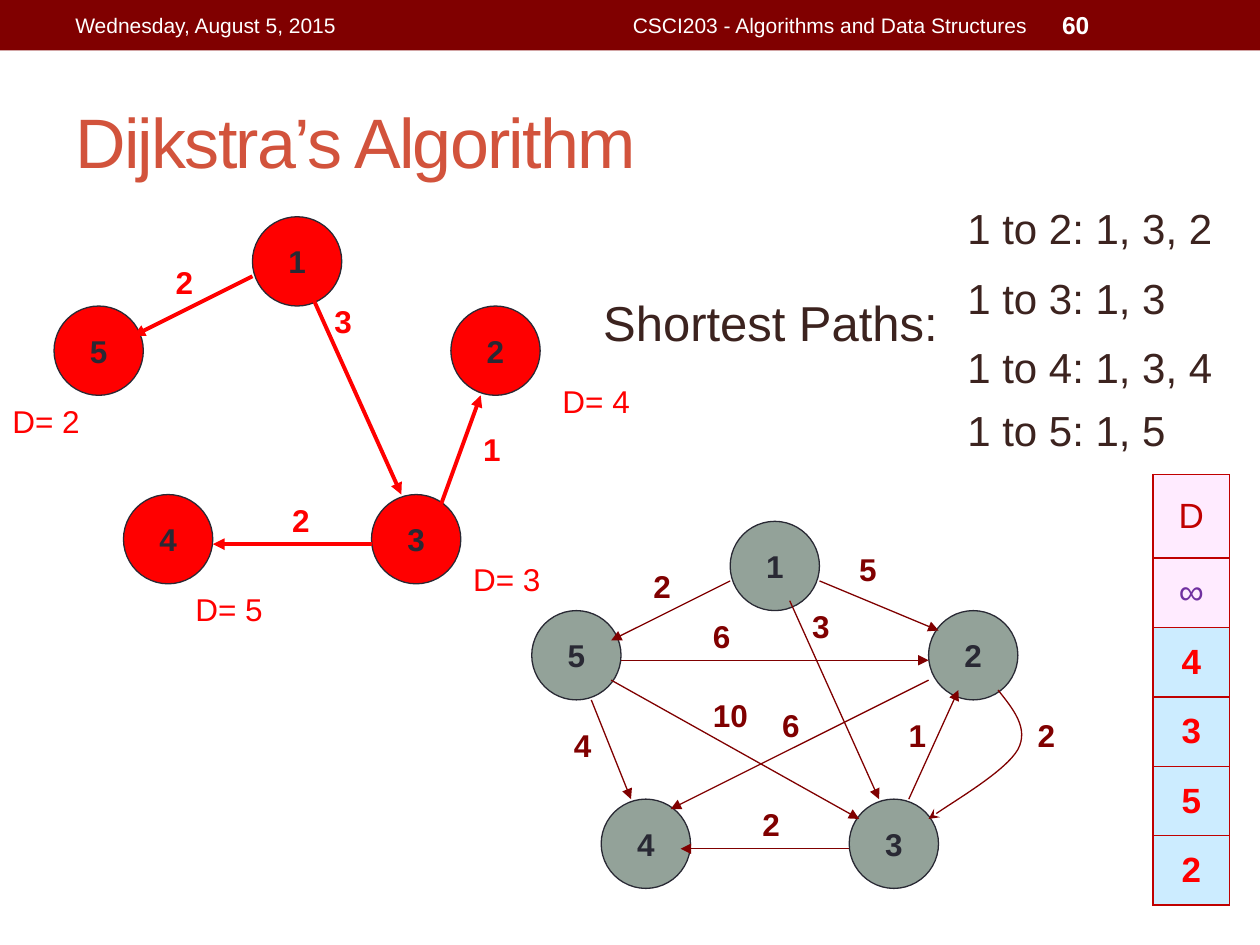
from lxml import etree
from pptx import Presentation
from pptx.dml.color import RGBColor
from pptx.enum.shapes import MSO_CONNECTOR, MSO_SHAPE
from pptx.enum.text import MSO_ANCHOR, PP_ALIGN
from pptx.oxml.ns import qn
from pptx.util import Cm, Pt

LINE = MSO_CONNECTOR.STRAIGHT
RECT, OVAL = MSO_SHAPE.RECTANGLE, MSO_SHAPE.OVAL
TOP, MIDDLE = MSO_ANCHOR.TOP, MSO_ANCHOR.MIDDLE
LEFT, CENTER, RIGHT = PP_ALIGN.LEFT, PP_ALIGN.CENTER, PP_ALIGN.RIGHT

WHITE = RGBColor(0xFF, 0xFF, 0xFF)
MAROON = RGBColor(0x80, 0x00, 0x00)
RED = RGBColor(0xFF, 0x00, 0x00)
RUST = RGBColor(0xD2, 0x53, 0x3C)
BROWN = RGBColor(0x3C, 0x23, 0x1F)
INK = RGBColor(0x29, 0x29, 0x34)
SAGE = RGBColor(0x93, 0xA2, 0x99)
CRIMSON = RGBColor(0xC0, 0x00, 0x00)
PURPLE = RGBColor(0x70, 0x30, 0xA0)
PINK = RGBColor(0xFF, 0xEB, 0xFF)
SKY = RGBColor(0xCC, 0xEC, 0xFF)

# Places inside a graph are in cm from the graph's own corner.
SIZE = 1.8
NODES = {"1": (4, 0), "2": (8, 1.8), "3": (6.4, 5.6), "4": (1.4, 5.6), "5": (0, 1.8)}

GRAPH = {
    "origin": (10.72, 10.51), "fill": SAGE, "color": MAROON, "width": 0.75,
    "edges": [
        (5.8, 1.2, 8.2, 2.2), (4, 1.2, 1.6, 2.4), (5.2, 1.6, 7, 5.6),
        (1.8, 2.8, 8, 2.8), (1.2, 3.6, 2, 5.6), (6.4, 6.6, 3, 6.6),
        (7.6, 5.6, 8.6, 3.4), (8, 3.2, 2.8, 5.8), (1.6, 3.2, 6.6, 6),
    ],
    "curve": [(9.4, 3.4), (9.7, 3.78), (10.03, 4.17), (9.8, 4.6),
              (9.55, 5.03), (8.3, 5.77), (8, 6)],
    "costs": [
        ("5", 6.35, 0.45), ("3", 5.4, 1.6), ("2", 2.2, 0.8), ("4", 0.6, 4),
        ("10", 3.4, 3.4), ("2", 4.4, 5.6), ("6", 4.8, 3.6), ("6", 3.4, 1.8),
        ("1", 7.35, 3.8), ("2", 9.95, 3.8),
    ],
    "dists": [],
}
TREE = {
    "origin": (1.09, 4.37), "fill": RED, "color": RED, "width": 2.25,
    "edges": [(4, 1.2, 1.6, 2.4), (5.2, 1.6, 7, 5.6),
              (6.4, 6.6, 3.2, 6.6), (7.8, 5.8, 8.6, 3.6)],
    "curve": [],
    "costs": [("3", 5.4, 1.6), ("2", 2.2, 0.8), ("1", 8.4, 4.17), ("2", 4.55, 5.6)],
    "dists": [("D= 2", -1.09, 3.6), ("D= 5", 2.6, 7.4),
              ("D= 3", 8.2, 6.8), ("D= 4", 10, 3.2)],
}
PATHS = [("1 to 2: 1, 3, 2", 3.96), ("1 to 3: 1, 3", 5.36),
         ("1 to 4: 1, 3, 4", 6.76), ("1 to 5: 1, 5", 8.03)]
CELLS = [("D", CRIMSON, PINK), ("∞", PURPLE, PINK)] + [(n, RED, SKY) for n in "4352"]


def put(item, **vals):
    for name, val in vals.items():
        setattr(item, name, val)


def write(frame, text, size, color, bold=False, align=LEFT):
    para = frame.paragraphs[0]
    para.alignment = align
    run = para.add_run()
    run.text = text
    put(run.font, name="Arial", size=Pt(size), bold=bold)
    run.font.color.rgb = color
    return run


def add_text(shapes, text, box, size, color, bold=False, align=LEFT,
             anchor=TOP, wrap=True):
    frame = shapes.add_textbox(*map(Cm, box)).text_frame
    put(frame, word_wrap=wrap, vertical_anchor=anchor)
    return write(frame, text, size, color, bold, align)


def add_solid(shapes, kind, box, fill):
    shape = shapes.add_shape(kind, *map(Cm, box))
    shape.shadow.inherit = False
    shape.fill.solid()
    shape.fill.fore_color.rgb = fill
    shape.line.fill.background()
    return shape


def add_node(shapes, name, x, y, fill):
    node = add_solid(shapes, OVAL, (x, y, SIZE, SIZE), fill)
    node.line.color.rgb = INK
    node.line.width = Pt(0.75)
    put(node.text_frame, word_wrap=False, vertical_anchor=MIDDLE)
    write(node.text_frame, name, 18, INK, True, CENTER)


def style_arrow(shape, color, width, head):
    shape.line.color.rgb = color
    shape.line.width = Pt(width)
    props = shape._element.spPr
    etree.SubElement(props.find(qn("a:ln")), qn("a:tailEnd"), type=head)
    if props.find(qn("a:effectLst")) is None:
        etree.SubElement(props, qn("a:effectLst"))


def add_curve(shapes, points, color, width):
    """Draw a chain of cubic curves: a start, then three points for each."""
    first, *rest = [(Cm(x), Cm(y)) for x, y in points]
    draft = shapes.build_freeform(*first)
    draft.add_line_segments(rest, close=False)
    shape = draft.convert_to_shape()
    shape.fill.background()
    shape.shadow.inherit = False
    steps = list(shape._element.iter(qn("a:lnTo")))
    for i in range(0, len(steps), 3):
        bend = etree.Element(qn("a:cubicBezTo"))
        steps[i].addprevious(bend)
        for step in steps[i:i + 3]:
            bend.append(step[0])
            step.getparent().remove(step)
    style_arrow(shape, color, width, "stealth")


def add_graph(slide, data):
    shapes = slide.shapes.add_group_shape().shapes
    left, top = data["origin"]
    color, width = data["color"], data["width"]
    for name, (x, y) in NODES.items():
        add_node(shapes, name, left + x, top + y, data["fill"])
    for x1, y1, x2, y2 in data["edges"]:
        ends = left + x1, top + y1, left + x2, top + y2
        style_arrow(shapes.add_connector(LINE, *map(Cm, ends)), color, width, "triangle")
    if data["curve"]:
        add_curve(shapes, [(left + x, top + y) for x, y in data["curve"]], color, width)
    for key, bold in (("costs", True), ("dists", False)):
        for text, x, y in data[key]:
            wide = 0.51 + 0.35 * len(text)
            add_text(shapes, text, (left + x, top + y, wide, 1.02), 18, color,
                     bold, wrap=False)


def add_border(cell):
    props = cell._tc.get_or_add_tcPr()
    for i, side in enumerate(("lnL", "lnR", "lnT", "lnB")):
        edge = etree.Element(qn("a:" + side), w=str(Pt(1)))
        fill = etree.SubElement(edge, qn("a:solidFill"))
        etree.SubElement(fill, qn("a:srgbClr"), val=str(CRIMSON))
        props.insert(i, edge)


def add_costs(slide):
    frame = slide.shapes.add_table(len(CELLS), 1, Cm(23.24), Cm(9.57), Cm(1.55), Cm(8.68))
    table = frame.table
    put(table, first_row=False, horz_banding=False)
    for i, (text, color, fill) in enumerate(CELLS):
        table.rows[i].height = Cm(1.4 if i else 1.68)
        cell = table.cell(i, 0)
        cell.vertical_anchor = MIDDLE
        cell.fill.solid()
        cell.fill.fore_color.rgb = fill
        write(cell.text_frame, text, 20, color, fill == SKY, CENTER)
        add_border(cell)


def add_header(shapes):
    add_solid(shapes, RECT, (0, 0, 25.4, 1.02), MAROON)
    for text, x, wide, size, bold, align in (
        ("Wednesday, August 5, 2015", 1.27, 8.05, 12, False, LEFT),
        ("CSCI203 - Algorithms and Data Structures", 9.53, 11.43, 12, False, RIGHT),
        ("60", 21.16, 2.97, 14, True, LEFT),
    ):
        add_text(shapes, text, (x, 0.05, wide, 0.91), size, WHITE, bold, align, MIDDLE)


def main():
    deck = Presentation()
    put(deck, slide_width=Cm(25.4), slide_height=Cm(19.05))
    slide = deck.slides.add_slide(deck.slide_layouts[6])
    shapes = slide.shapes
    add_header(shapes)
    title = add_text(shapes, "Dijkstra’s Algorithm", (1.27, 1.47, 22.86, 2.74),
                     40, RUST, anchor=MIDDLE)
    title.font._element.set("spc", "-100")
    add_graph(slide, GRAPH)
    add_graph(slide, TREE)
    for text, y in PATHS:
        add_text(shapes, text, (19.25, y, 5.77, 1.27), 24, BROWN)
    add_text(shapes, "Shortest Paths:", (11.91, 5.77, 7.34, 1.45), 28, BROWN)
    add_costs(slide)
    deck.save("out.pptx")


if __name__ == "__main__":
    main()
